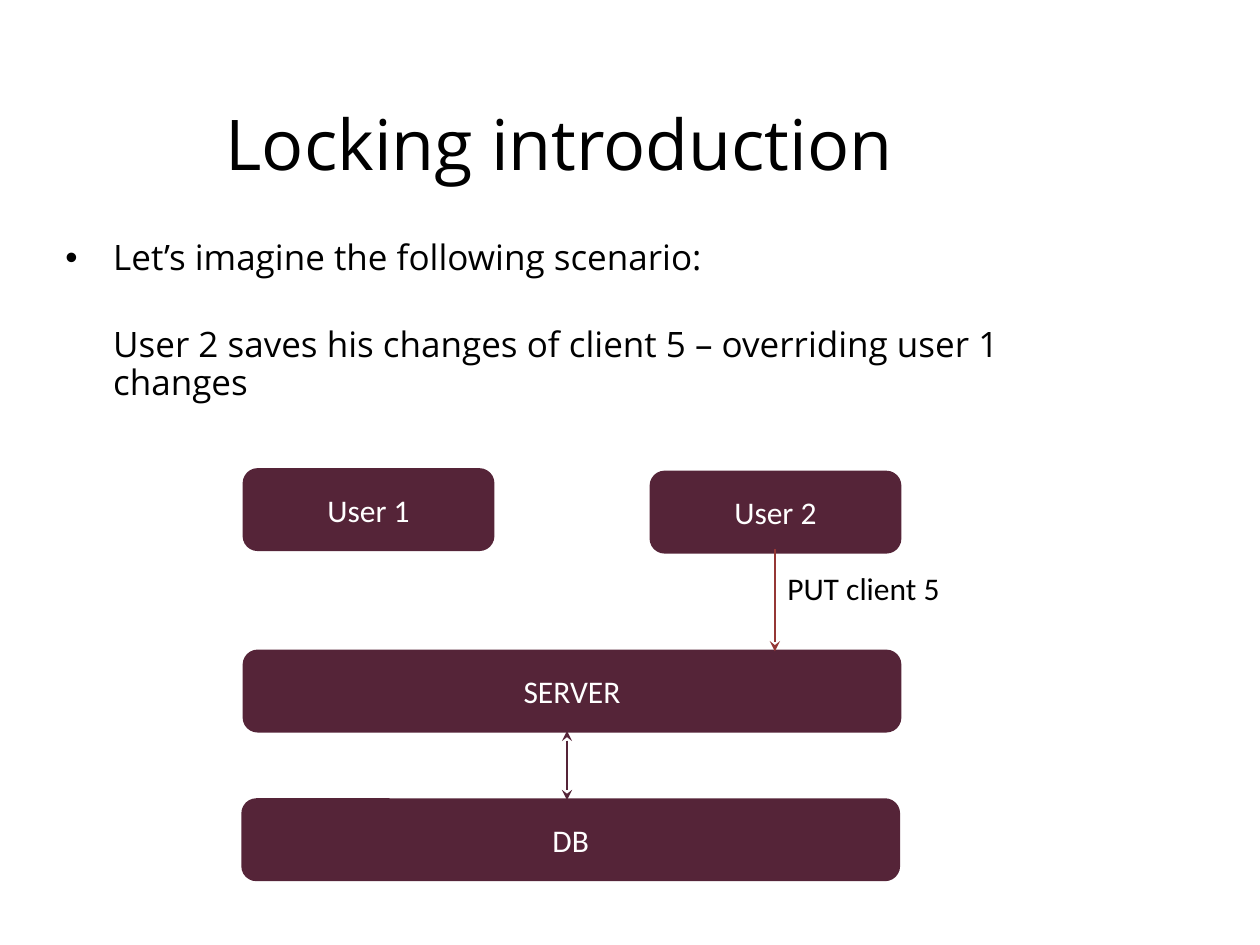
from dataclasses import dataclass

from lxml.etree import SubElement
from pptx import Presentation
from pptx.dml.color import RGBColor
from pptx.enum.shapes import MSO_CONNECTOR, MSO_SHAPE
from pptx.enum.text import MSO_ANCHOR, PP_ALIGN
from pptx.oxml.ns import qn
from pptx.util import Inches, Pt


@dataclass(frozen=True)
class Theme:
    plum: RGBColor = RGBColor(0x55, 0x24, 0x38)
    red: RGBColor = RGBColor(0x95, 0x37, 0x35)
    black: RGBColor = RGBColor(0, 0, 0)
    white: RGBColor = RGBColor(255, 255, 255)
    text_font: str = "Open Sans"
    diagram_font: str = "Calibri"
    title_size: int = 40
    body_size: int = 20
    diagram_size: int = 18


theme = Theme()


def write(para, text, font=theme.diagram_font, size=theme.diagram_size,
          color=theme.black, align=PP_ALIGN.LEFT):
    para.text = text
    para.alignment = align
    for span in para.runs:
        span.font.name = font
        span.font.size = Pt(size)
        span.font.color.rgb = color


def add_arrow(x, top, bottom, color, ends):
    """Draw a vertical line with stealth heads at the named ends."""
    arrow = page.shapes.add_connector(
        MSO_CONNECTOR.STRAIGHT, Inches(x), Inches(top), Inches(x), Inches(bottom))
    arrow.line.color.rgb = color
    arrow.line.width = Pt(0.75)
    for end in ends:
        SubElement(arrow.line._get_or_add_ln(), qn(f"a:{end}"), type="stealth")
    SubElement(arrow._element.spPr, qn("a:effectLst"))


deck = Presentation()
deck.slide_width, deck.slide_height = Inches(10), Inches(7.5)
page = deck.slides.add_slide(deck.slide_layouts[5])

# Title
title = page.shapes.title
title.left, title.top = Inches(1.69), Inches(0.5)
title.width, title.height = Inches(8.9), Inches(1.26)
title.text_frame.vertical_anchor = MSO_ANCHOR.MIDDLE
write(title.text_frame.paragraphs[0], "Locking introduction",
      font=theme.text_font, size=theme.title_size)

# Scenario
scenario = page.shapes.add_textbox(Inches(0.42), Inches(1.86), Inches(8.9), Inches(2.83))
frame = scenario.text_frame
frame.word_wrap = True
intro, event = frame.paragraphs[0], frame.add_paragraph()
write(intro, "Let’s imagine the following scenario:",
      font=theme.text_font, size=theme.body_size)
write(event, "User 2 saves his changes of client 5 – overriding user 1\vchanges",
      font=theme.text_font, size=theme.body_size)
event.space_before = Pt(28)
indent = Inches(0.38)
for para, hanging in ((intro, -indent), (event, 0)):
    para.line_spacing = 0.9
    properties = para._p.get_or_add_pPr()
    properties.set("marL", str(indent))
    properties.set("indent", str(hanging))
bullet_properties = intro._p.get_or_add_pPr()
SubElement(bullet_properties, qn("a:buFont"), typeface="Arial")
SubElement(bullet_properties, qn("a:buChar"), char="•")

# Diagram
box_height = 0.65
box_height = 0.63
user_width, tier_width = 1.97, 5.2
server_top, db_top = 5.17, 6.35
boxes = [
    ("SERVER", 1.94, server_top, tier_width),
    ("DB", 1.93, db_top, tier_width),
    ("User 1", 1.94, 3.73, user_width),
    ("User 2", 5.17, 3.75, user_width),
]
for name, left, top, width in boxes:
    box = page.shapes.add_shape(MSO_SHAPE.ROUNDED_RECTANGLE, Inches(left), Inches(top),
                                Inches(width), Inches(box_height))
    box.shadow.inherit = False
    box.fill.solid()
    box.fill.fore_color.rgb = theme.plum
    box.line.color.rgb = theme.plum
    box.line.width = Pt(2)
    box.text_frame.vertical_anchor = MSO_ANCHOR.MIDDLE
    write(box.text_frame.paragraphs[0], name, color=theme.white, align=PP_ALIGN.CENTER)

request_x = 6.15
add_arrow(4.5, server_top + box_height, db_top, theme.plum, ("headEnd", "tailEnd"))
add_arrow(request_x, 4.36, server_top, theme.red, ("tailEnd",))

request = page.shapes.add_textbox(Inches(request_x), Inches(4.47), Inches(1.48), Inches(0.4))
request.text_frame.word_wrap = True
write(request.text_frame.paragraphs[0], "PUT client 5")

deck.save("out.pptx")
